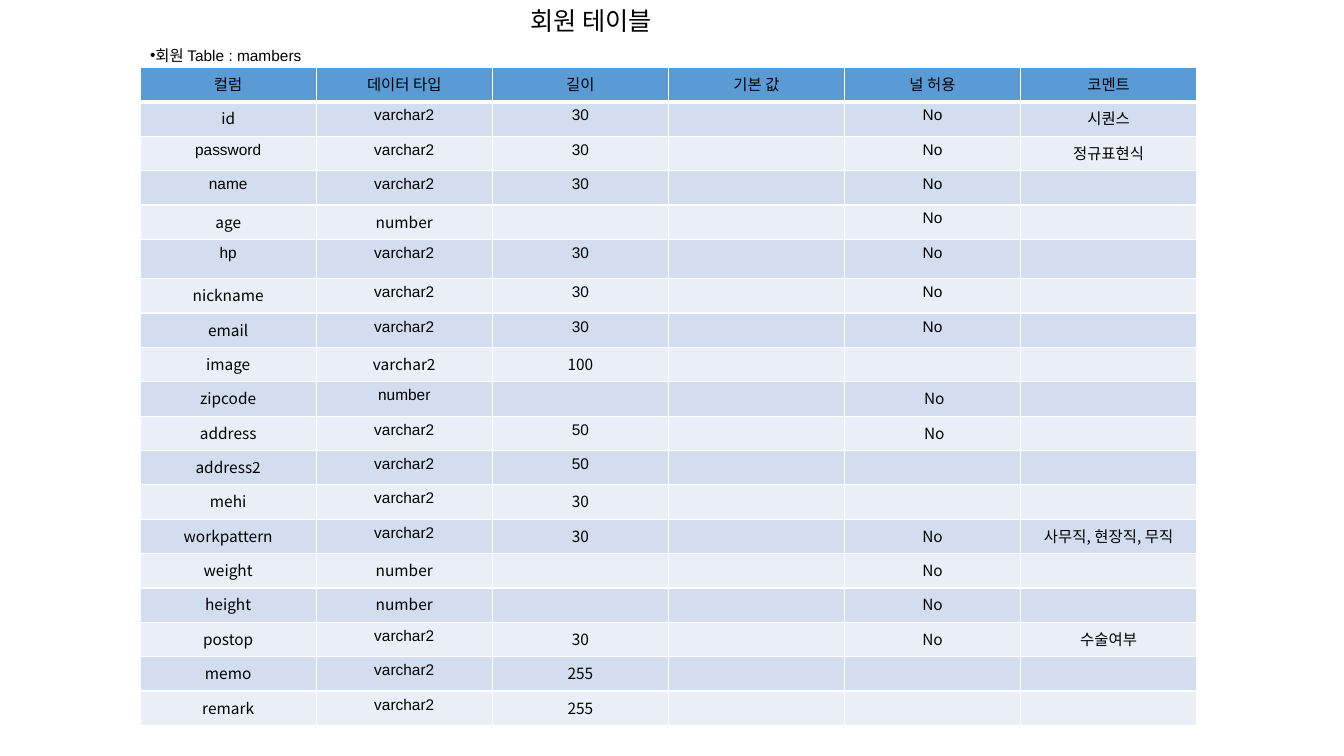
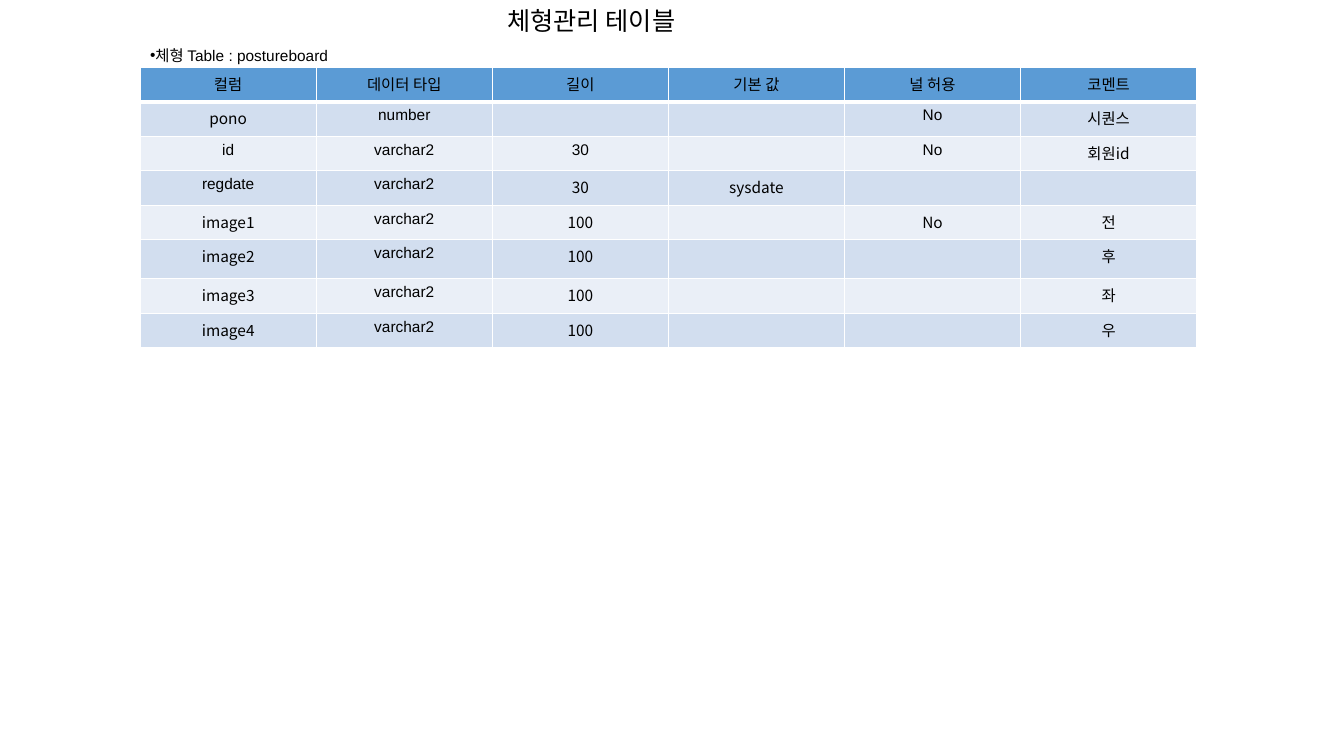
from lxml import etree
from pptx import Presentation
from pptx.dml.color import RGBColor
from pptx.enum.text import MSO_ANCHOR, MSO_AUTO_SIZE, PP_ALIGN
from pptx.oxml.ns import qn
from pptx.util import Inches, Pt

TOP, MIDDLE = MSO_ANCHOR.TOP, MSO_ANCHOR.MIDDLE
CENTER, LEFT = PP_ALIGN.CENTER, PP_ALIGN.LEFT
NO_FIT = MSO_AUTO_SIZE.NONE

COLORS = {"text": "000000", "line": "FFFFFF", "head": "5B9BD5",
          "odd": "D2DEEF", "even": "EAEFF7"}
ARIAL, NOTO = "Arial", "Noto Sans CJK KR"
SIZE = 11
TALL, TALL_ROW = 0.39, 5  # height and index of the one taller row

HEADS = "컬럼|데이터 타입|길이|기본 값|널 허용|코멘트"

# Rows hold cells split by "|"; a leading "~" sets the cell in Noto
MEMBERS = [
    "~id|varchar2|30||No|시퀀스",
    "password|varchar2|30||No|~정규표현식",
    "name|varchar2|30||No|",
    "~age|~number|||No|",
    "hp|varchar2|30||No|",
    "~nickname|varchar2|30||No|",
    "~email|varchar2|30||No|",
    "~image|~varchar2|~100|||",
    "~zipcode|number|||~\u00a0No|",
    "~address|varchar2|50||~\u00a0No|",
    "~address2|varchar2|50|||",
    "~mehi|varchar2|~30|||",
    "~workpattern|varchar2|~30||~No|~사무직, 현장직, 무직",
    "~weight|~number|||~No|",
    "~height|~number|||~No|",
    "~postop|varchar2|~30||~No|~수술여부",
    "~memo|varchar2|~255|||",
    "~remark|varchar2|~255|||",
]
POSTURE = [
    "~pono|number|||No|시퀀스",
    "id|varchar2|30||No|~회원id",
    "regdate|varchar2|~30|~sysdate||",
    "~image1|varchar2|~100||~No|~전",
    "~image2|varchar2|~100|||~후",
    "~image3|varchar2|~100|||~좌",
    "~image4|varchar2|~100|||~우",
]


def add_run(para, text, size=SIZE, face=ARIAL):
    run = para.add_run()
    run.text = text
    font = run.font
    font.size, font.name = Pt(size), face
    font.color.rgb = RGBColor.from_string(COLORS["text"])
    asian = etree.SubElement(font._element, qn("a:ea"))
    asian.set("typeface", NOTO)


def place(shape, box):
    shape.left, shape.top, shape.width, shape.height = map(Inches, box)


def add_title(slide, box, text):
    title = slide.shapes.title
    place(title, box)
    frame = title.text_frame
    frame.word_wrap, frame.auto_size = True, NO_FIT
    frame.vertical_anchor = TOP
    para = frame.paragraphs[0]
    para.alignment, para.line_spacing = CENTER, 0.9
    add_run(para, text, 18)


def add_label(slide, box, text):
    frame = slide.shapes.add_textbox(*map(Inches, box)).text_frame
    frame.word_wrap, frame.vertical_anchor = True, MIDDLE
    frame.margin_top = frame.margin_bottom = 0
    para = frame.paragraphs[0]
    para.alignment = LEFT
    props = para._p.get_or_add_pPr()
    props.set("marL", "0")
    props.set("indent", "0")
    face = etree.SubElement(props, qn("a:buFont"))
    face.set("typeface", ARIAL)
    mark = etree.SubElement(props, qn("a:buChar"))
    mark.set("char", "•")
    add_run(para, text)


def set_edge(cell, side, width):
    edge = etree.SubElement(cell._tc.get_or_add_tcPr(), qn("a:ln" + side))
    edge.set("w", str(Pt(width)))
    fill = etree.SubElement(edge, qn("a:solidFill"))
    color = etree.SubElement(fill, qn("a:srgbClr"))
    color.set("val", COLORS["line"])


def fill_cell(cell, text, row):
    # Borders come before the fill in the cell properties
    thick = {(0, "B"), (1, "T")}
    for side in "LRTB":
        set_edge(cell, side, 3 if (row, side) in thick else 1)
    shade = "head" if row == 0 else "odd" if row % 2 else "even"
    cell.fill.solid()
    cell.fill.fore_color.rgb = RGBColor.from_string(COLORS[shade])
    para = cell.text_frame.paragraphs[0]
    para.alignment = CENTER
    if text:
        add_run(para, text.lstrip("~"), face=NOTO if text[0] == "~" else ARIAL)
    else:
        # A small end mark keeps empty cells from growing the row
        end = etree.SubElement(para._p, qn("a:endParaRPr"))
        end.set("sz", str(SIZE * 100))


def add_grid(slide, box, lines):
    rows = [line.split("|") for line in [HEADS] + lines]
    count, cols = len(rows), len(rows[0])
    table = slide.shapes.add_table(count, cols, *map(Inches, box)).table
    for col in table.columns:
        col.width = Inches(box[2] / cols)
    step = (box[3] - TALL) / (count - 1)
    for i, texts in enumerate(rows):
        table.rows[i].height = Inches(TALL if i == TALL_ROW else step)
        for j, text in enumerate(texts):
            fill_cell(table.cell(i, j), text, i)


def add_page(deck, title, label, lines, height):
    slide = deck.slides.add_slide(deck.slide_layouts[5])
    add_title(slide, (2.53, 0.04, 6.67, 0.6), title)
    add_label(slide, (1.39, 0.25, 7.62, 0.59), label)
    add_grid(slide, (1.39, 0.67, 10.48, height), lines)


deck = Presentation()
deck.slide_width, deck.slide_height = Inches(13.33), Inches(7.5)
add_page(deck, "회원 테이블", "회원\u00a0Table : mambers", MEMBERS, 6.53)
add_page(deck, "체형관리 테이블", "체형\u00a0Table : postureboard", POSTURE, 2.78)
deck.save("out.pptx")
